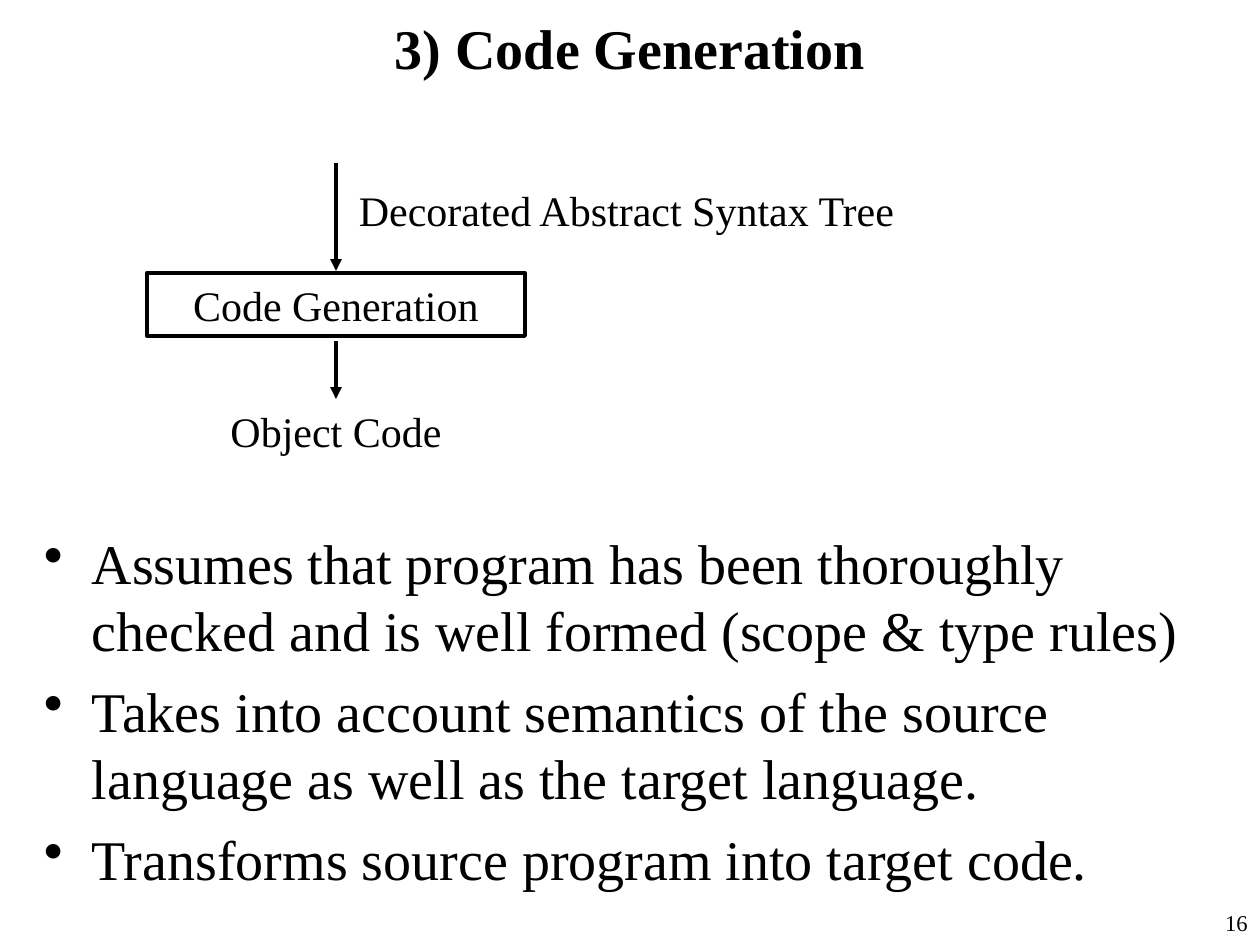
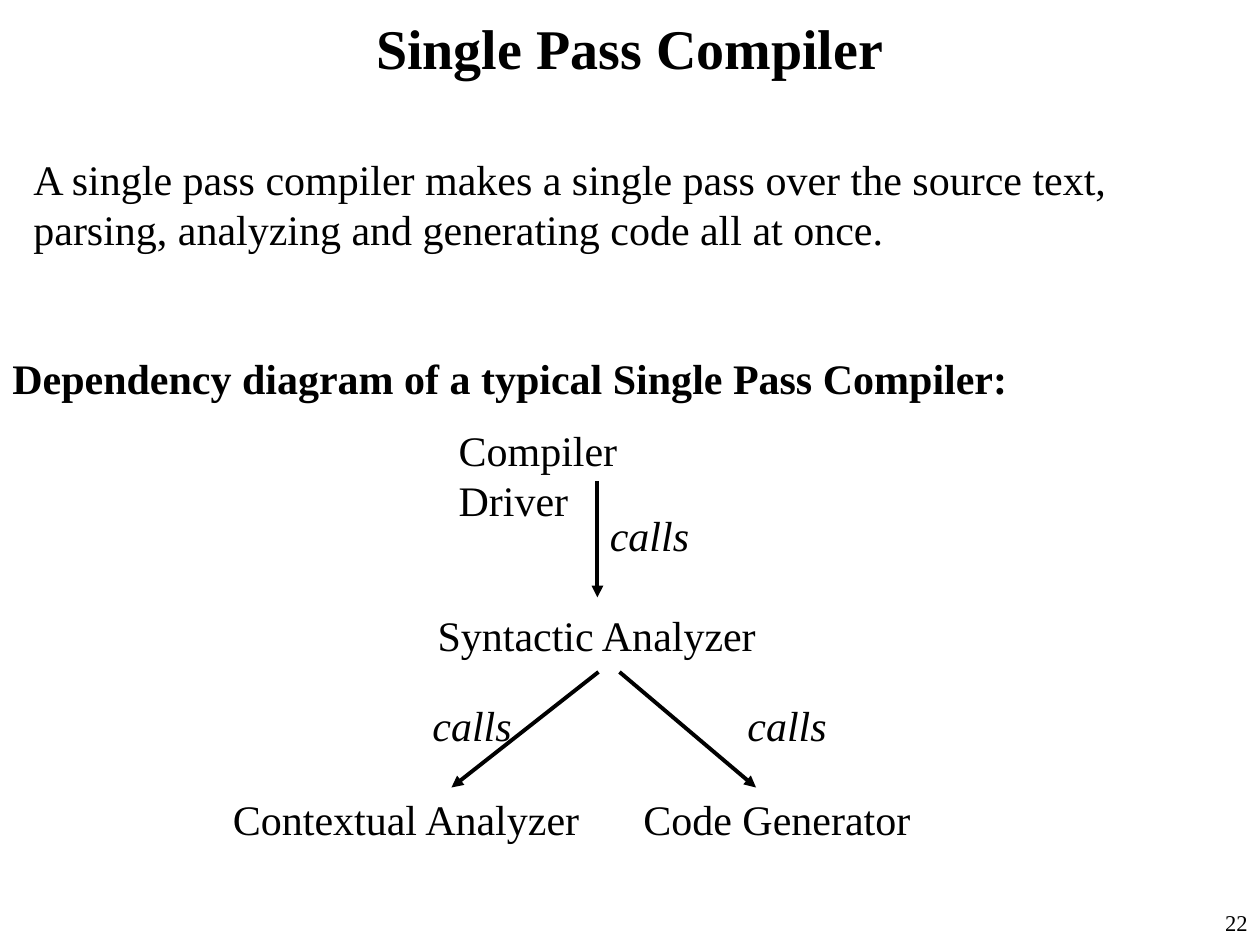
from lxml import etree
from pptx import Presentation
from pptx import util as u
from pptx.dml.color import RGBColor
from pptx.enum import shapes, text
from pptx.oxml import ns

# Shared grid and style
WIDTH, HEIGHT = u.Inches(10), u.Inches(7.5)
COLUMNS, ROWS = 120, 90
FONT, INK, PAPER = "Times New Roman", "000000", "FFFFFF"
TITLE_SIZE, LABEL_SIZE, NUMBER_SIZE = 32, 24, 12.9
LINE_WIDTH = 2.25
LABEL_ROWS = 6


def color(value):
    return RGBColor.from_string(value)


def x(column):
    return round(WIDTH * column / COLUMNS)


def y(row):
    return round(HEIGHT * row / ROWS)


def area(column, row, columns, rows):
    return x(column), y(row), x(columns), y(rows)


def add_run(paragraph, words, size, bold=False, italic=False):
    run = paragraph.add_run()
    run.text = words
    font = run.font
    font.name, font.size = FONT, u.Pt(size)
    font.bold, font.italic = bold, italic
    font.color.rgb = color(INK)


def add_text(slide, place, words, size=LABEL_SIZE, align=text.PP_ALIGN.LEFT,
             wrap=True, anchor=text.MSO_ANCHOR.TOP, **style):
    frame = slide.shapes.add_textbox(*area(*place)).text_frame
    frame.word_wrap, frame.vertical_anchor = wrap, anchor
    paragraph = frame.paragraphs[0]
    paragraph.alignment = align
    add_run(paragraph, words, size, **style)


def add_label(slide, column, row, columns, words, **style):
    """One-line label of the standard height."""
    add_text(slide, (column, row, columns, LABEL_ROWS), words, wrap=False, **style)


def add_box(slide, place, words):
    box = slide.shapes.add_shape(shapes.MSO_SHAPE.RECTANGLE, *area(*place))
    box.shadow.inherit = False
    box.fill.background()
    box.line.color.rgb = color(INK)
    box.line.width = u.Pt(LINE_WIDTH)
    frame = box.text_frame
    frame.vertical_anchor = text.MSO_ANCHOR.TOP
    paragraph = frame.paragraphs[0]
    paragraph.alignment = text.PP_ALIGN.CENTER
    add_run(paragraph, words, LABEL_SIZE)


def add_arrow(slide, start, end):
    arrow = slide.shapes.add_connector(
        shapes.MSO_CONNECTOR.STRAIGHT, x(start[0]), y(start[1]), x(end[0]), y(end[1]))
    arrow.line.color.rgb = color(INK)
    arrow.line.width = u.Pt(LINE_WIDTH)
    etree.SubElement(arrow.line._get_or_add_ln(), ns.qn("a:tailEnd"), type="triangle")
    etree.SubElement(arrow._element.spPr, ns.qn("a:effectLst"))


def add_bullets(slide, place, points):
    frame = slide.shapes.add_textbox(*area(*place)).text_frame
    frame.word_wrap = True
    for index, point in enumerate(points):
        paragraph = frame.add_paragraph() if index else frame.paragraphs[0]
        properties = paragraph._p.get_or_add_pPr()
        indent = u.Inches(0.38)
        properties.set("marL", str(indent))
        properties.set("indent", str(-indent))
        etree.SubElement(properties, ns.qn("a:buChar"), char="•")
        if index:
            paragraph.space_before = u.Pt(8)
        add_run(paragraph, point, TITLE_SIZE)


def add_slide(presentation, title, number):
    """Blank slide with the shared title and page number."""
    slide = presentation.slides.add_slide(presentation.slide_layouts[6])
    slide.background.fill.solid()
    slide.background.fill.fore_color.rgb = color(PAPER)
    add_text(slide, (111, 86, 9, 4), str(number), NUMBER_SIZE, text.PP_ALIGN.RIGHT)
    add_text(slide, (0, 0, COLUMNS, 9), title, TITLE_SIZE, text.PP_ALIGN.CENTER,
             anchor=text.MSO_ANCHOR.MIDDLE, bold=True)
    return slide


def build_code_generation(presentation):
    slide = add_slide(presentation, "3) Code Generation", 16)
    add_bullets(slide, (3, 49.7, 114, 35.6), [
        "Assumes that program has been thoroughly checked and is well formed "
        "(scope & type rules)",
        "Takes into account semantics of the source language as well as the "
        "target language.",
        "Transforms source program into target code.",
    ])
    # Flow from syntax tree to object code
    flow = 32
    add_box(slide, (flow - 18, 26, 36, LABEL_ROWS), "Code Generation")
    add_text(slide, (33, 17, 54, LABEL_ROWS), "Decorated Abstract Syntax Tree")
    for start, end in ((15.5, 25.8), (32.5, 38)):
        add_arrow(slide, (flow, start), (flow, end))
    add_text(slide, (flow - 17, 38, 34, LABEL_ROWS), "Object Code",
             align=text.PP_ALIGN.CENTER)


def build_single_pass(presentation):
    slide = add_slide(presentation, "Single Pass Compiler", 22)
    add_text(slide, (2, 14, 116, 10.8),
             "A single pass compiler makes a single pass over the source text, "
             "parsing, analyzing and generating code all at once.")
    add_label(slide, 0, 33, 97.2,
              "Dependency diagram of a typical Single Pass Compiler:", bold=True)
    # Compiler parts
    for column, row, columns, part in (
            (42.5, 39.8, 28.9, "Compiler Driver"),
            (40.5, 57.5, 32.9, "Syntactic Analyzer"),
            (21, 75, 35.7, "Contextual Analyzer"),
            (60.1, 75, 27.8, "Code Generator")):
        add_label(slide, column, row, columns, part)
    # Calls between the parts
    for start, end, label in (
            ((56.9, 45.8), (56.9, 56.9), (56.9, 47.9)),
            ((57, 64), (43, 75), (40, 66)),
            ((59, 64), (72, 75), (70, 66))):
        add_arrow(slide, start, end)
        add_label(slide, *label, 10, "calls", italic=True)


def main():
    presentation = Presentation()
    presentation.slide_width, presentation.slide_height = WIDTH, HEIGHT
    build_code_generation(presentation)
    build_single_pass(presentation)
    presentation.save("out.pptx")


if __name__ == "__main__":
    main()
